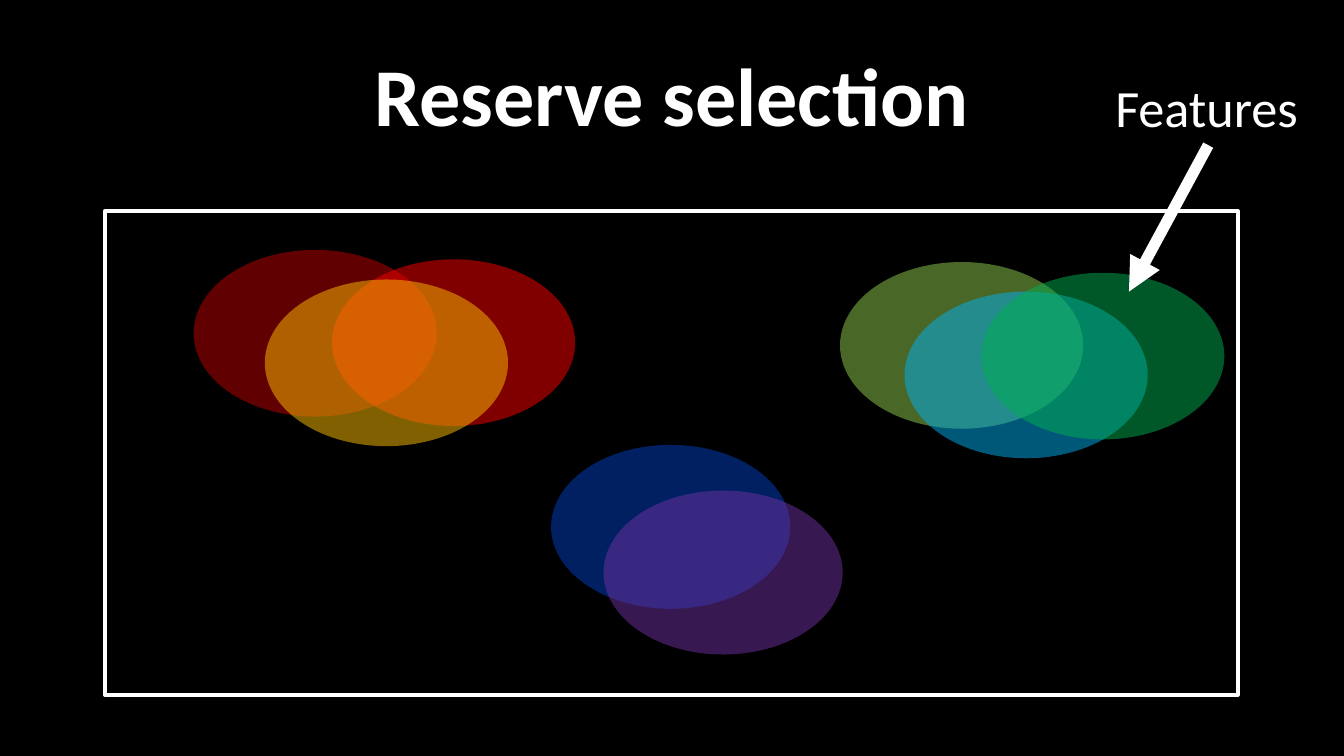
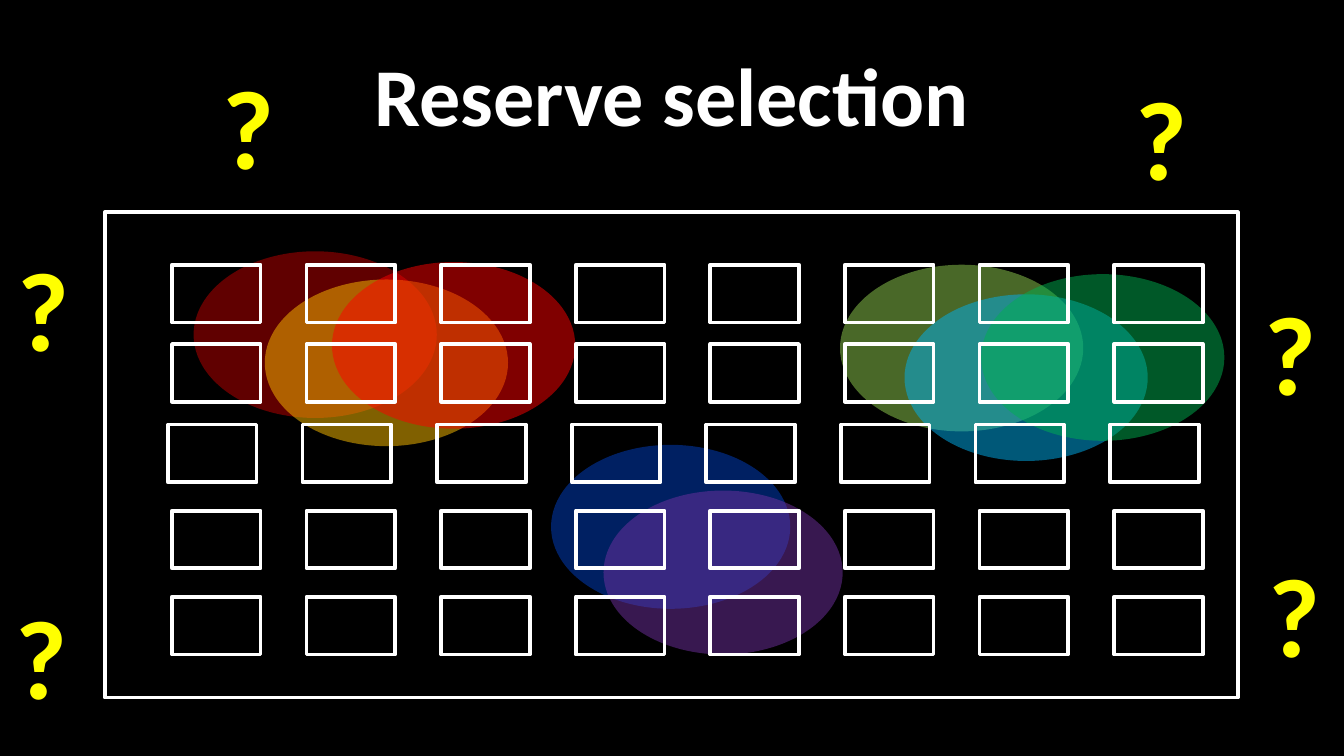
"""Build two slides on reserve selection: features, then candidate sites."""
from lxml import etree
from pptx import Presentation
from pptx import util as u
from pptx.dml import color
from pptx.enum import shapes, text
from pptx.oxml import ns

SLIDE_WIDTH = 10
SLIDE_HEIGHT = SLIDE_WIDTH * 9 / 16

COLOURS = {
    "background": "000000",
    "outline": "FFFFFF",
    "question": "FFFF00",
    "blue": "0041C4",
    "maroon": "C00000",
    "red": "FF0000",
    "lime": "92D050",
    "sky": "00B0F0",
    "green": "00B050",
    "purple": "7030A0",
    "amber": "FFC000",
}
TITLE_FORMAT = {"name": "Calibri", "size": u.Pt(44), "bold": True}
LABEL_FORMAT = {"name": "Calibri", "size": u.Pt(28), "bold": False}
QUESTION_FORMAT = {"name": "Calibri", "size": u.Pt(60), "bold": True}
TITLE_FRAME = {"word_wrap": True, "vertical_anchor": text.MSO_ANCHOR.MIDDLE}
LABEL_FRAME = {"word_wrap": False, "auto_size": text.MSO_AUTO_SIZE.SHAPE_TO_FIT_TEXT}

SMALL, LARGE = (1.78, 1.22), (1.81, 1.24)
FEATURES = {
    "blue": (4.1, 3.31, *SMALL),
    "purple": (4.49, 3.65, *SMALL),
    "maroon": (1.44, 1.86, *LARGE),
    "amber": (1.97, 2.08, *LARGE),
    "red": (2.47, 1.93, *LARGE),
    "lime": (6.25, 1.95, *LARGE),
    "sky": (6.73, 2.17, *LARGE),
    "green": (7.3, 2.03, *LARGE),
}
LOWERED = {"maroon": 0.01, "red": 0.02, "lime": 0.02, "sky": 0.02, "green": 0.01}

SITE_ROWS = [(1.28, 1.97), (1.28, 2.56), (1.25, 3.16), (1.28, 3.8), (1.28, 4.44)]
SITE_COLUMNS = 8
SITE_PITCH = 7.01 / (SITE_COLUMNS - 1)
SITE_SIZE = (0.66, 0.43)
QUESTION_SIZE = (0.59, 1.11)
QUESTIONS = [(1.56, 0.38), (9.34, 4.01), (0.02, 4.32),
             (8.35, 0.46), (9.31, 2.06), (0.03, 1.73)]


def rgb(name):
    """Return the named colour."""
    return color.RGBColor.from_string(COLOURS[name])


def inches(values):
    """Convert numbers to lengths."""
    return [u.Inches(value) for value in values]


def apply_format(target, values):
    """Set each attribute in values on target."""
    for name, value in values.items():
        setattr(target, name, value)


def add_slide(presentation):
    """Add a blank slide with the shared background."""
    slide = presentation.slides.add_slide(presentation.slide_layouts[6])
    fill = slide.background.fill
    fill.solid()
    fill.fore_color.rgb = rgb("background")
    return slide


def add_text(slide, box, words, colour, font_format, frame_format, alignment):
    """Add a one-line text box."""
    frame = slide.shapes.add_textbox(*inches(box)).text_frame
    apply_format(frame, frame_format)
    paragraph = frame.paragraphs[0]
    paragraph.alignment = alignment
    run = paragraph.add_run()
    run.text = words
    apply_format(run.font, font_format)
    run.font.color.rgb = rgb(colour)


def add_title(slide):
    """Add the title that both slides share."""
    add_text(slide, (0.5, 0.23, 9, 0.94), "Reserve selection", "outline",
             TITLE_FORMAT, TITLE_FRAME, text.PP_ALIGN.CENTER)


def add_label(slide, box, words, colour, font_format):
    """Add a label that does not wrap."""
    add_text(slide, box, words, colour, font_format, LABEL_FRAME, text.PP_ALIGN.LEFT)


def add_outline(slide, box):
    """Add an unfilled rectangle with a white border."""
    shape = slide.shapes.add_shape(shapes.MSO_SHAPE.RECTANGLE, *inches(box))
    shape.shadow.inherit = False
    shape.fill.background()
    shape.line.color.rgb = rgb("outline")
    shape.line.width = u.Pt(2)


def add_feature(slide, name, drop=0):
    """Add a half-transparent ellipse, lowered by drop."""
    left, top, width, height = FEATURES[name]
    shape = slide.shapes.add_shape(
        shapes.MSO_SHAPE.OVAL, *inches((left, top + drop, width, height)))
    shape.shadow.inherit = False
    shape.line.fill.background()
    shape.fill.solid()
    shape.fill.fore_color.rgb = rgb(name)
    solid = shape._element.spPr.find(ns.qn("a:solidFill"))
    etree.SubElement(solid[0], ns.qn("a:alpha"), val="50000")


def add_arrow(slide, start, end):
    """Add a thick white arrow."""
    connector = slide.shapes.add_connector(
        shapes.MSO_CONNECTOR.STRAIGHT, *inches((*start, *end)))
    connector.line.color.rgb = rgb("outline")
    connector.line.width = u.Pt(6)
    properties = connector._element.spPr
    etree.SubElement(properties.find(ns.qn("a:ln")), ns.qn("a:tailEnd"), type="triangle")
    etree.SubElement(properties, ns.qn("a:effectLst"))


def add_sites(slide):
    """Add the grid of candidate sites."""
    for left, top in SITE_ROWS:
        for column in range(SITE_COLUMNS):
            add_outline(slide, (left + column * SITE_PITCH, top, *SITE_SIZE))


def build_features_slide(presentation):
    """Show the features inside the region."""
    slide = add_slide(presentation)
    add_title(slide)
    add_outline(slide, (0.78, 1.57, 8.43, 3.6))
    for name in ("blue", "maroon", "red", "lime", "sky", "green", "purple", "amber"):
        add_feature(slide, name)
    add_label(slide, (8.2, 0.51, 1.57, 0.57), "Features", "outline", LABEL_FORMAT)
    add_arrow(slide, (8.99, 1.08), (8.4, 2.17))


def build_sites_slide(presentation):
    """Show the candidate sites over the features."""
    slide = add_slide(presentation)
    add_feature(slide, "blue")
    add_outline(slide, (0.78, 1.58, 8.43, 3.61))
    for name in list(FEATURES)[1:]:
        add_feature(slide, name, LOWERED.get(name, 0))
    add_sites(slide)
    add_title(slide)
    for position in QUESTIONS:
        add_label(slide, (*position, *QUESTION_SIZE), "?", "question", QUESTION_FORMAT)


def main():
    """Build and save the presentation."""
    presentation = Presentation()
    presentation.slide_width = u.Inches(SLIDE_WIDTH)
    presentation.slide_height = u.Inches(SLIDE_HEIGHT)
    build_features_slide(presentation)
    build_sites_slide(presentation)
    presentation.save("out.pptx")


if __name__ == "__main__":
    main()
